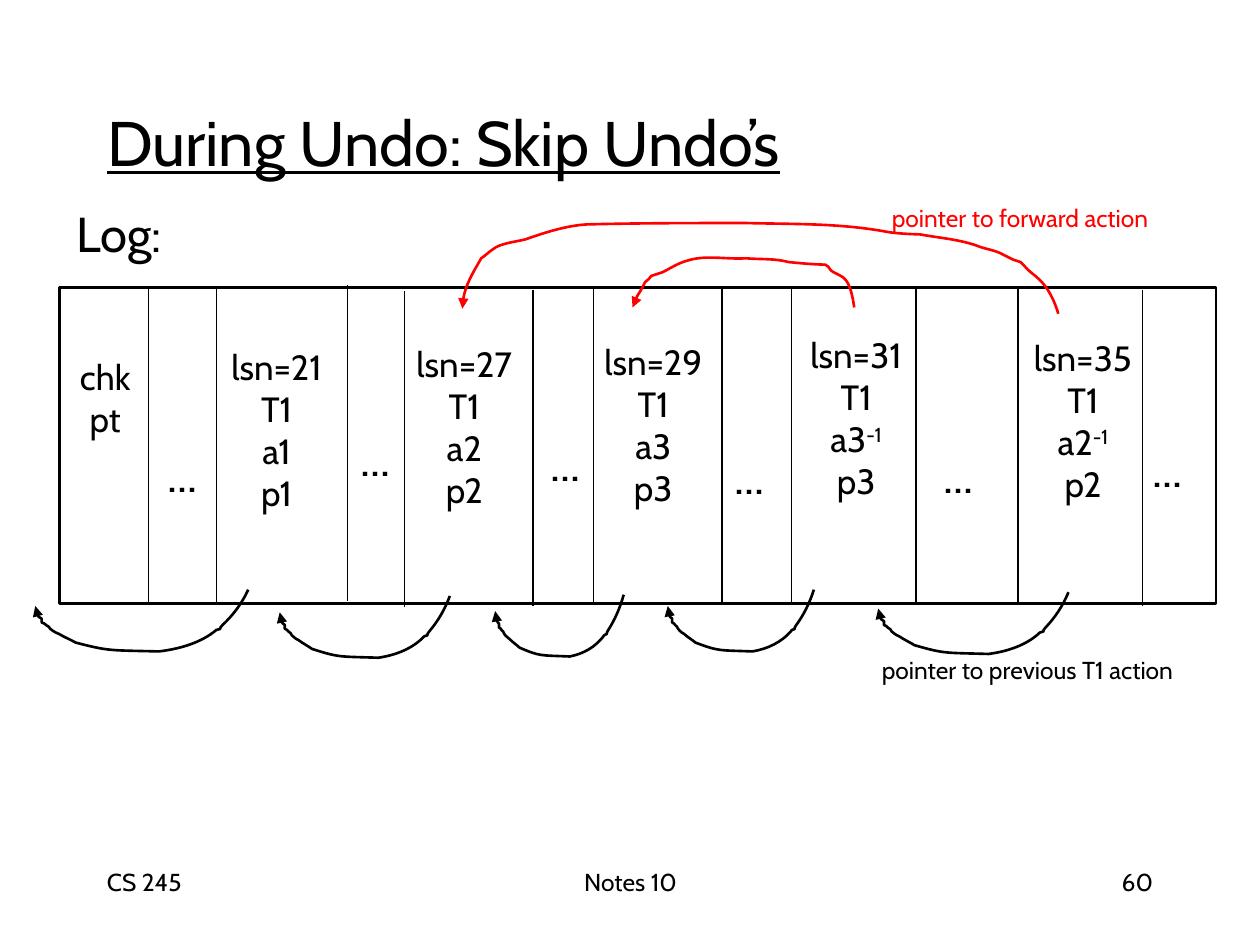
from lxml.etree import SubElement
from pptx import Presentation
from pptx.dml.color import RGBColor
from pptx.enum.shapes import MSO_CONNECTOR, MSO_SHAPE
from pptx.enum.text import MSO_ANCHOR, MSO_AUTO_SIZE, PP_ALIGN
from pptx.oxml.ns import qn
from pptx.util import Inches, Pt

FONT = "Cabin"
BLACK = RGBColor(0, 0, 0)
WHITE = RGBColor(255, 255, 255)
RED = RGBColor(255, 0, 0)
LEFT, CENTER, RIGHT = PP_ALIGN.LEFT, PP_ALIGN.CENTER, PP_ALIGN.RIGHT

# Content: log cells as (left, top, lines); "^" starts a superscript
LOG_BOX = (0.47, 2.28, 9.18, 2.51)
DIVIDERS = [(1.18, 2.27), (1.72, 2.28), (2.76, 2.26), (3.21, 2.31), (4.23, 2.3),
            (4.71, 2.29), (5.73, 2.28), (6.28, 2.27), (7.27, 2.28), (8.08, 2.29),
            (9.07, 2.3)]
RECORDS = [
    (1.67, 2.69, ["lsn=21", "T1", "a1", "p1"]),
    (3.16, 2.67, ["lsn=27", "T1", "a2", "p2"]),
    (4.66, 2.65, ["lsn=29", "T1", "a3", "p3"]),
    (6.27, 2.6, ["lsn=31", "T1", "a3^-1", "p3"]),
    (8.07, 2.62, ["lsn=35", "T1", "a2^-1", "p2"]),
]
GAPS = [(1.23, 3.47), (2.76, 3.34), (4.27, 3.38), (5.73, 3.49), (7.39, 3.48), (9.05, 3.43)]
# Labels: text, box, size, colour
LABELS = [
    ("Log:", (0.51, 1.57, 0.98, 0.57), 28, BLACK),
    ("pointer to forward action", (6.98, 1.56, 2.5, 0.34), 14, RED),
    ("pointer to previous T1 action", (6.9, 5.15, 2.83, 0.34), 14, BLACK),
]
FOOTERS = [("CS 245", 0.75, 2.08, LEFT), ("Notes 10", 3.42, 3.17, CENTER),
           ("60", 7.17, 2.08, RIGHT)]

# Pointers to the forward action: a start, then three points for each Bezier curve
FORWARD = [
    [(8.4, 2.49),
     (8.37, 2.39), (8.32, 2.28), (8.24, 2.21), (8.21, 2.18), (8.16, 2.15), (8.13, 2.11),
     (8.12, 2.1), (8.11, 2.09), (8.1, 2.08), (8.08, 2.07), (8.06, 2.07), (8.04, 2.06),
     (8.01, 2.05), (7.99, 2.03), (7.96, 2.02), (7.91, 1.99), (7.84, 1.98), (7.78, 1.96),
     (7.63, 1.9), (7.46, 1.89), (7.3, 1.86), (7.24, 1.86), (7.08, 1.85), (7.04, 1.84),
     (6.66, 1.77), (6.31, 1.78), (5.92, 1.77), (5.51, 1.77), (5.11, 1.77), (4.7, 1.78),
     (4.53, 1.78), (4.34, 1.84), (4.17, 1.9), (4.09, 1.92), (3.97, 1.93), (3.91, 1.98),
     (3.88, 2), (3.85, 2.03), (3.82, 2.05), (3.75, 2.17), (3.67, 2.3), (3.67, 2.45)],
    [(6.78, 2.44),
     (6.77, 2.37), (6.75, 2.24), (6.69, 2.2), (6.66, 2.18), (6.63, 2.17), (6.6, 2.15),
     (6.57, 2.12), (6.58, 2.11), (6.55, 2.1), (6.45, 2.1), (6.26, 2.08), (6.26, 2.08),
     (6.15, 2.05), (6.04, 2.06), (5.92, 2.05), (5.76, 2.06), (5.6, 2.02), (5.45, 2.07),
     (5.38, 2.09), (5.32, 2.13), (5.26, 2.16), (5.23, 2.17), (5.17, 2.19), (5.17, 2.19),
     (5.16, 2.21), (5.14, 2.22), (5.12, 2.24), (5.12, 2.24), (5.08, 2.32), (5.07, 2.33),
     (5.04, 2.38), (5.05, 2.4), (5.02, 2.44)],
]
# Pointers to the previous action: (left, top, width) of one shared arc,
# whose points are (share of the width, drop in inches)
PREVIOUS = [(6.97, 4.7, 1.51), (5.3, 4.68, 1.16), (3.93, 4.72, 1.02),
            (2.22, 4.73, 1.35), (0.28, 4.68, 1.69)]
ARC = [(1, 0),
       (0.97, 0.11), (0.93, 0.2), (0.88, 0.28), (0.85, 0.33), (0.89, 0.3), (0.85, 0.32),
       (0.78, 0.42), (0.68, 0.47), (0.58, 0.49), (0.35, 0.48), (0.35, 0.49), (0.19, 0.42),
       (0.17, 0.4), (0.14, 0.38), (0.11, 0.35), (0.09, 0.34), (0.07, 0.31), (0.07, 0.31),
       (0.07, 0.3), (0.06, 0.29), (0.05, 0.28), (0.05, 0.27), (0.04, 0.27), (0.03, 0.26),
       (0.03, 0.25), (0.03, 0.24), (0.03, 0.23), (0.02, 0.22), (0.01, 0.21), (0.01, 0.2),
       (0.01, 0.18), (0, 0.13), (0, 0.13)]


def write(tf, lines, size, color=BLACK, align=LEFT):
    for i, line in enumerate(lines):
        p = tf.paragraphs[0] if i == 0 else tf.add_paragraph()
        base, _, power = line.partition("^")
        p.add_run().text = base
        if power:
            r = p.add_run()
            r.text = power
            r._r.get_or_add_rPr().set("baseline", "30000")
        p.alignment = align
        p.font.name, p.font.size = FONT, Pt(size)
        p.font.color.rgb = color


def add_text(slide, lines, box, size, color=BLACK, align=LEFT, wrap=False):
    tf = slide.shapes.add_textbox(*map(Inches, box)).text_frame
    tf.word_wrap = wrap
    write(tf, lines, size, color, align)


def add_pointer(slide, points, color):
    start, *rest = [(Inches(x), Inches(y)) for x, y in points]
    builder = slide.shapes.build_freeform(*start)
    builder.add_line_segments(rest, close=False)
    sp = builder.convert_to_shape()
    # Join each three line segments into one Bezier curve
    segments = list(sp._element.iter(qn("a:lnTo")))
    for i in range(0, len(segments), 3):
        curve = SubElement(segments[i].getparent(), qn("a:cubicBezTo"))
        for segment in segments[i:i + 3]:
            curve.append(segment[0])
            segment.getparent().remove(segment)
    sp.shadow.inherit = False
    sp.fill.background()
    sp.line.color.rgb = color
    sp.line.width = Pt(1.5)
    SubElement(sp.line._get_or_add_ln(), qn("a:tailEnd"), type="triangle")


def main():
    prs = Presentation()
    prs.slide_width, prs.slide_height = Inches(10), Inches(7.5)
    slide = prs.slides.add_slide(prs.slide_layouts[5])

    # Title
    title = slide.shapes.title
    title.left, title.top, title.width, title.height = map(Inches, (0.75, 0.67, 8.5, 0.9))
    tf = title.text_frame
    tf.auto_size = MSO_AUTO_SIZE.NONE
    tf.vertical_anchor = MSO_ANCHOR.MIDDLE
    write(tf, ["During Undo: Skip Undo’s"], 36)
    tf.paragraphs[0].font.underline = True

    # Log strip and its dividers
    sp = slide.shapes.add_shape(MSO_SHAPE.RECTANGLE, *map(Inches, LOG_BOX))
    sp.shadow.inherit = False
    sp.fill.solid()
    sp.fill.fore_color.rgb = WHITE
    sp.line.color.rgb = BLACK
    sp.line.width = Pt(1.5)
    for x, top in DIVIDERS:
        line = slide.shapes.add_connector(
            MSO_CONNECTOR.STRAIGHT, *map(Inches, (x, top, x, top + LOG_BOX[3])))
        line.line.color.rgb = BLACK
        line.line.width = Pt(0.75)
        SubElement(line._element.spPr, qn("a:effectLst"))

    # Log records
    add_text(slide, ["chk", "pt"], (0.51, 2.77, 0.65, 0.77), 20, align=CENTER)
    for x, y, lines in RECORDS:
        add_text(slide, lines, (x, y, 1.05, 1.44), 20, align=CENTER)
    for x, y in GAPS:
        add_text(slide, ["..."], (x, y, 0.51, 0.57), 28)

    # Pointers
    for points in FORWARD:
        add_pointer(slide, points, RED)
    for left, top, width in PREVIOUS:
        add_pointer(slide, [(left + u * width, top + v) for u, v in ARC], BLACK)

    # Labels and footer
    for text, box, size, color in LABELS:
        add_text(slide, [text], box, size, color)
    for text, x, width, align in FOOTERS:
        add_text(slide, [text], (x, 6.83, width, 0.5), 14, align=align, wrap=True)

    prs.save("out.pptx")


if __name__ == "__main__":
    main()
